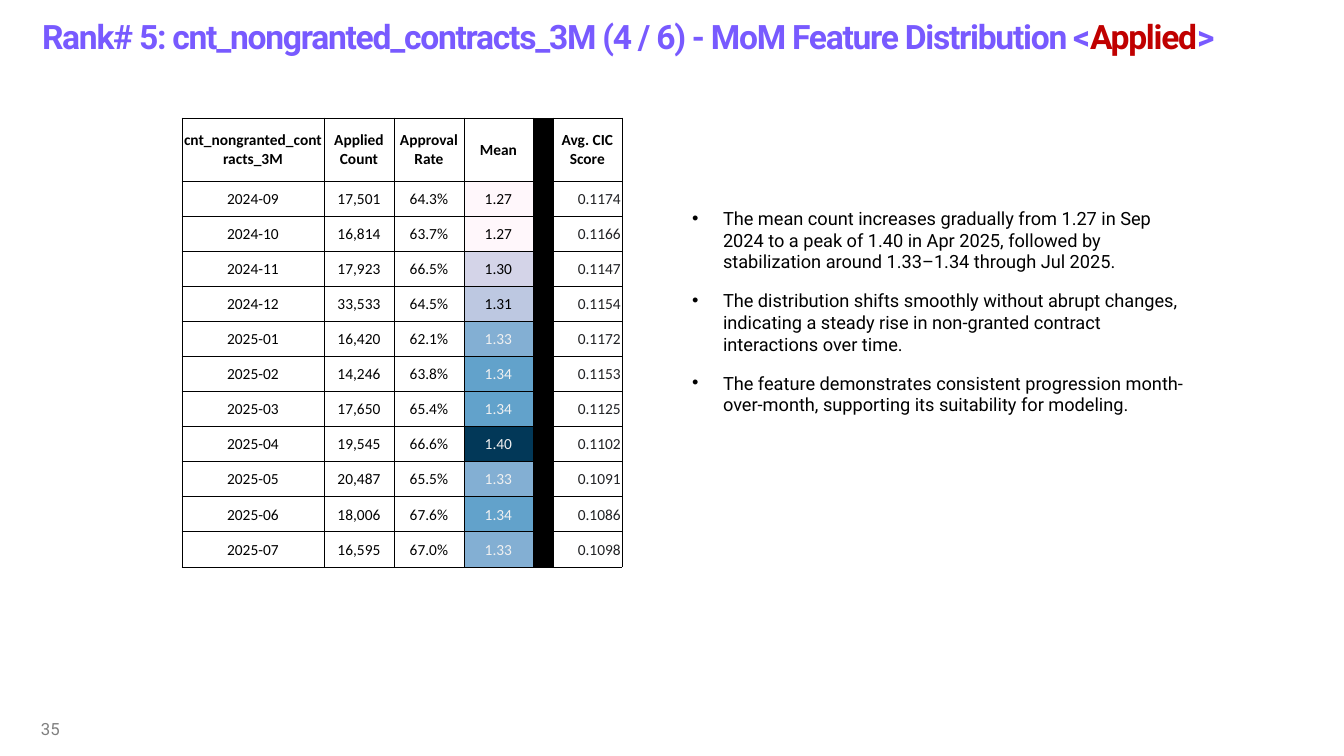
"""Build the month-over-month feature distribution slide."""
from lxml import etree
from pptx import Presentation
from pptx.dml.color import RGBColor
from pptx.enum.text import MSO_ANCHOR, MSO_AUTO_SIZE, PP_ALIGN
from pptx.oxml.ns import qn
from pptx.util import Emu, Pt

MIDDLE, TOP = MSO_ANCHOR.MIDDLE, MSO_ANCHOR.TOP
NO_FIT = MSO_AUTO_SIZE.NONE
LEFT, CENTER, RIGHT = PP_ALIGN.LEFT, PP_ALIGN.CENTER, PP_ALIGN.RIGHT

PURPLE = RGBColor(0x78, 0x5A, 0xFF)
RED = RGBColor(0xC0, 0x00, 0x00)
GRAY = RGBColor(0x80, 0x80, 0x80)
BLACK = RGBColor(0x00, 0x00, 0x00)
INK = RGBColor(0x20, 0x21, 0x24)
PALE = RGBColor(0xF1, 0xF1, 0xF1)
WHITE = RGBColor(0xFF, 0xFF, 0xFF)
HEAT = {
    "1.27": (RGBColor(0xFF, 0xF7, 0xFB), BLACK),
    "1.30": (RGBColor(0xD4, 0xD4, 0xE8), BLACK),
    "1.31": (RGBColor(0xBD, 0xC8, 0xE1), BLACK),
    "1.33": (RGBColor(0x83, 0xAF, 0xD3), PALE),
    "1.34": (RGBColor(0x62, 0xA2, 0xCB), PALE),
    "1.40": (RGBColor(0x02, 0x38, 0x58), PALE),
}

TITLE = [
    ("Rank# 5: cnt_nongranted_contracts_3M (4 / 6) - MoM Feature Distribution <", PURPLE),
    ("Applied", RED),
    (">", PURPLE),
]
PAGE = "35"
FINDINGS = [
    "The mean count increases gradually from 1.27 in Sep 2024 to a peak of 1.40 in Apr 2025, "
    "followed by stabilization around 1.33–1.34 through Jul 2025.",
    "The distribution shifts smoothly without abrupt changes, indicating a steady rise in "
    "non-granted contract interactions over time.",
    "The feature demonstrates consistent progression month-over-month, supporting its "
    "suitability for modeling.",
]
HEADER = ("cnt_nongranted_contracts_3M", "Applied Count", "Approval Rate", "Mean", "", "Avg. CIC Score")
MONTHS = [
    ("2024-09", "17,501", "64.3%", "1.27", "", "0.1174"),
    ("2024-10", "16,814", "63.7%", "1.27", "", "0.1166"),
    ("2024-11", "17,923", "66.5%", "1.30", "", "0.1147"),
    ("2024-12", "33,533", "64.5%", "1.31", "", "0.1154"),
    ("2025-01", "16,420", "62.1%", "1.33", "", "0.1172"),
    ("2025-02", "14,246", "63.8%", "1.34", "", "0.1153"),
    ("2025-03", "17,650", "65.4%", "1.34", "", "0.1125"),
    ("2025-04", "19,545", "66.6%", "1.40", "", "0.1102"),
    ("2025-05", "20,487", "65.5%", "1.33", "", "0.1091"),
    ("2025-06", "18,006", "67.6%", "1.34", "", "0.1086"),
    ("2025-07", "16,595", "67.0%", "1.33", "", "0.1098"),
]
MEAN, DIVIDER, SCORE = 3, 4, 5

SLIDE_SIZE = (1344, 756)
TITLE_BOX = (32, 0, 1302, 72)
PAGE_BOX = (31, 709, 302, 40)
FINDINGS_BOX = (682, 202, 521, 221)
TABLE_AT = (182, 118)
TABLE_H, HEADER_H = 449, 63
COLUMNS = (142, 70, 70, 69, 20, 69)
HANG = 31


def px(n):
    return Emu(round(n * 914400 / 100.8))


def place(sp, box, anchor):
    sp.left, sp.top, sp.width, sp.height = map(px, box)
    tf = sp.text_frame
    tf.word_wrap = True
    tf.auto_size = NO_FIT
    tf.vertical_anchor = anchor
    return tf


def style(r, name, size, color, bold=False):
    r.font.name, r.font.size, r.font.bold = name, Pt(size), bold
    r.font.color.rgb = color


def add_title(s):
    p = place(s.shapes.title, TITLE_BOX, MIDDLE).paragraphs[0]
    p.alignment = LEFT
    for text, color in TITLE:
        r = p.add_run()
        r.text = text
        style(r, "Roboto", 24, color, True)
        r._r.get_or_add_rPr().set("spc", "-90")


def add_page(s):
    p = place(s.shapes.add_textbox(0, 0, 0, 0), PAGE_BOX, MIDDLE).paragraphs[0]
    p.text = PAGE
    p.space_after = Pt(6)
    style(p.runs[0], "Roboto", 12, GRAY)


def add_findings(s):
    tf = place(s.placeholders[1], FINDINGS_BOX, TOP)
    tf.text = "\n".join(FINDINGS)
    for p in tf.paragraphs:
        pPr = p._p.get_or_add_pPr()
        pPr.set("marL", str(px(HANG)))
        pPr.set("indent", str(-px(HANG)))
        etree.SubElement(pPr, qn("a:buFont"), typeface="Arial")
        etree.SubElement(pPr, qn("a:buChar"), char="•")
        p.space_before, p.space_after = Pt(0), Pt(12)
        style(p.runs[0], "Roboto", 13, BLACK)


def add_borders(cell):
    tcPr = cell._tc.get_or_add_tcPr()
    for side in ("lnL", "lnR", "lnT", "lnB"):
        ln = etree.SubElement(tcPr, qn(f"a:{side}"), w=str(Pt(0.5)))
        fill = etree.SubElement(ln, qn("a:solidFill"))
        etree.SubElement(fill, qn("a:srgbClr"), val=str(BLACK))


def cell_colors(row, col, text):
    if col == DIVIDER:
        return BLACK, BLACK
    if row and col == MEAN:
        return HEAT[text]
    if row and col == SCORE:
        return WHITE, INK
    return None, BLACK


def fill_cell(cell, row, col, text):
    back, ink = cell_colors(row, col, text)
    cell.margin_left = cell.margin_right = cell.margin_top = px(1)
    cell.margin_bottom = 0
    cell.vertical_anchor = MIDDLE
    add_borders(cell)
    if back is None:
        cell.fill.background()
    else:
        cell.fill.solid()
        cell.fill.fore_color.rgb = back
    if text:
        p = cell.text_frame.paragraphs[0]
        p.text = text
        p.alignment = RIGHT if row and col == SCORE else CENTER
        style(p.runs[0], "Calibri", 11, ink, row == 0)


def add_months(s):
    rows = [HEADER] + MONTHS
    size = (sum(COLUMNS), TABLE_H)
    table = s.shapes.add_table(len(rows), len(COLUMNS), *map(px, TABLE_AT + size)).table
    table.first_row = table.horz_banding = False
    for column, width in zip(table.columns, COLUMNS):
        column.width = px(width)
    month_h = (TABLE_H - HEADER_H) / len(MONTHS)
    for i, row in enumerate(rows):
        table.rows[i].height = px(month_h if i else HEADER_H)
        for j, text in enumerate(row):
            fill_cell(table.cell(i, j), i, j, text)


def main():
    prs = Presentation()
    prs.slide_width, prs.slide_height = map(px, SLIDE_SIZE)
    s = prs.slides.add_slide(prs.slide_layouts[1])
    add_title(s)
    add_page(s)
    add_findings(s)
    add_months(s)
    prs.save("out.pptx")


if __name__ == "__main__":
    main()
